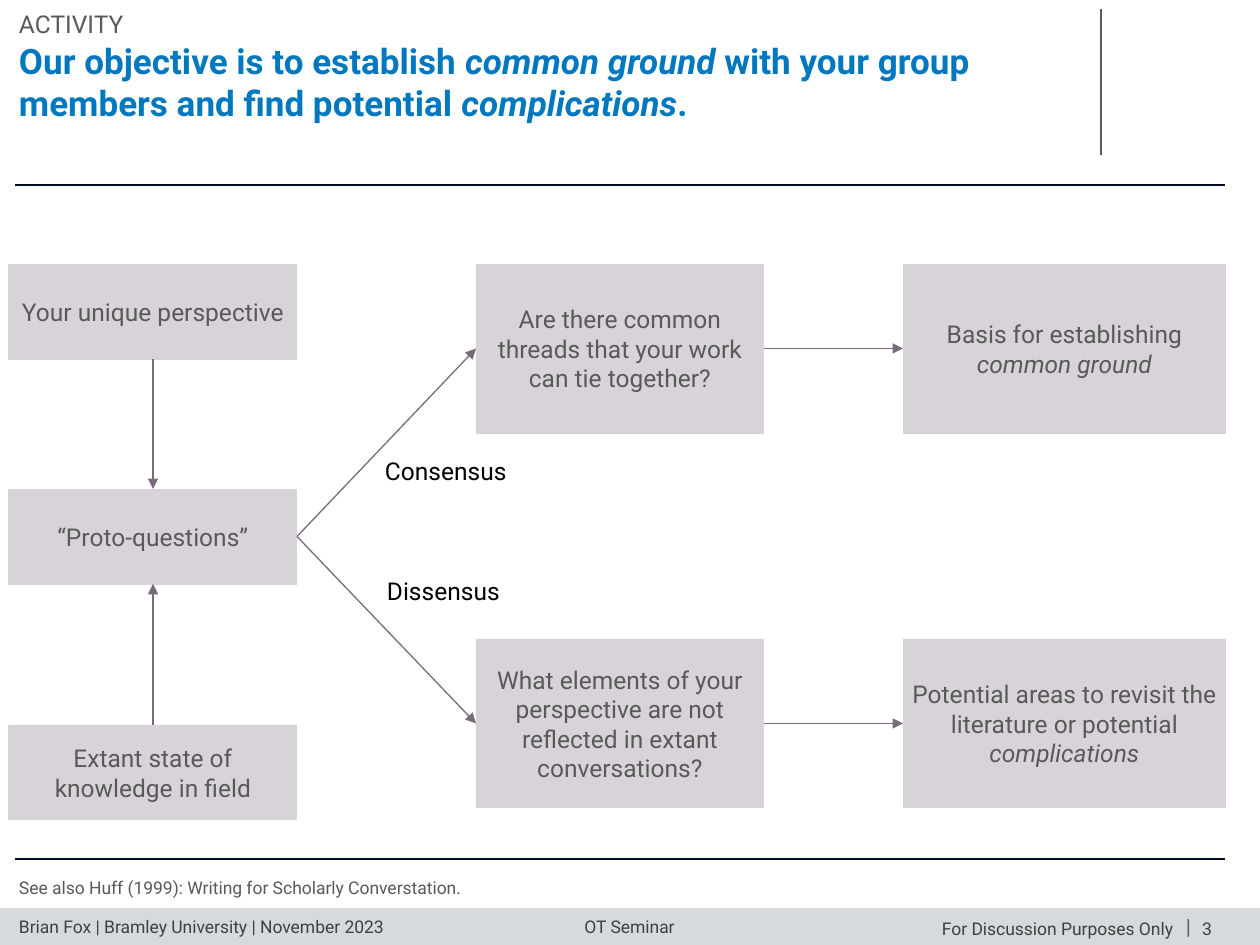
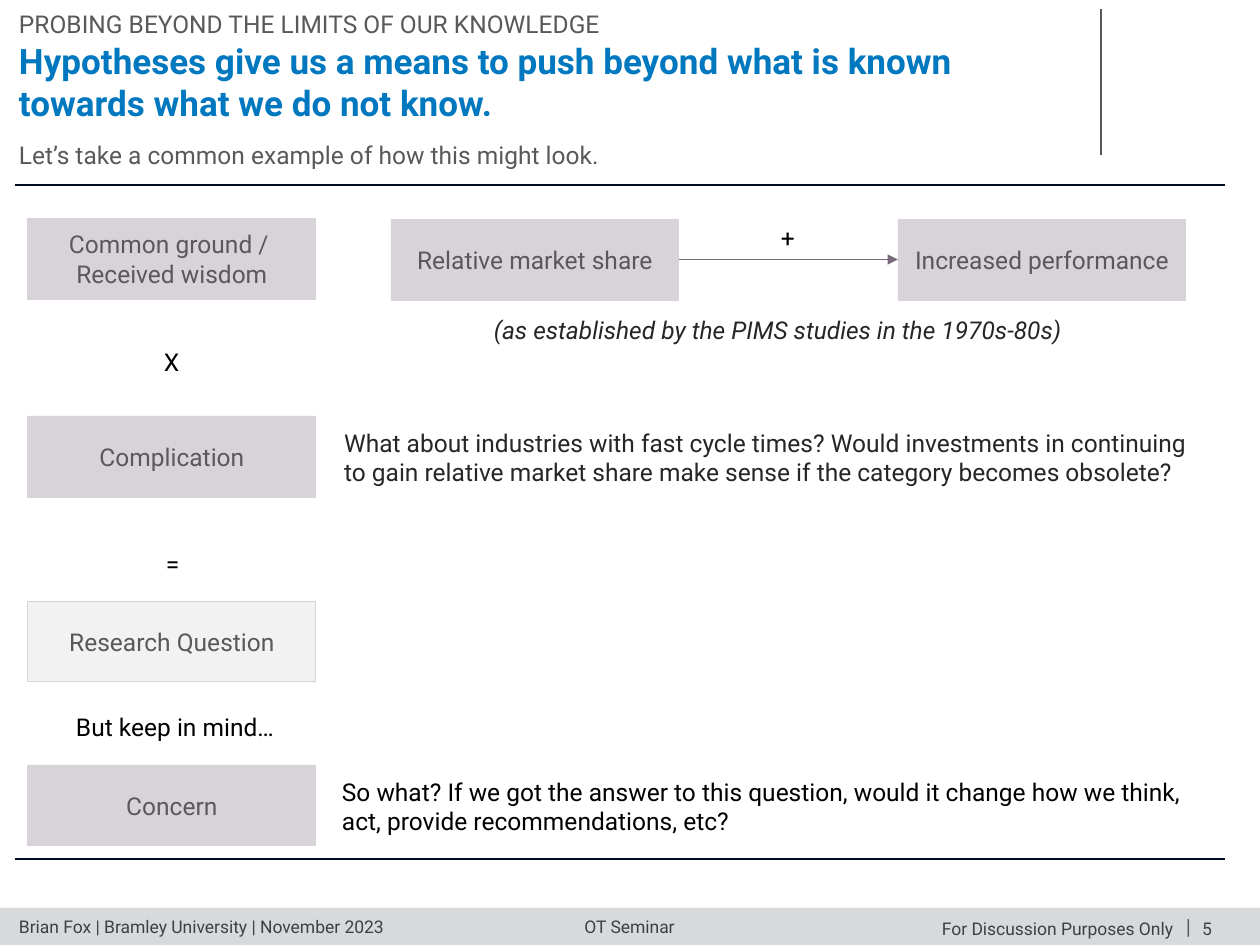
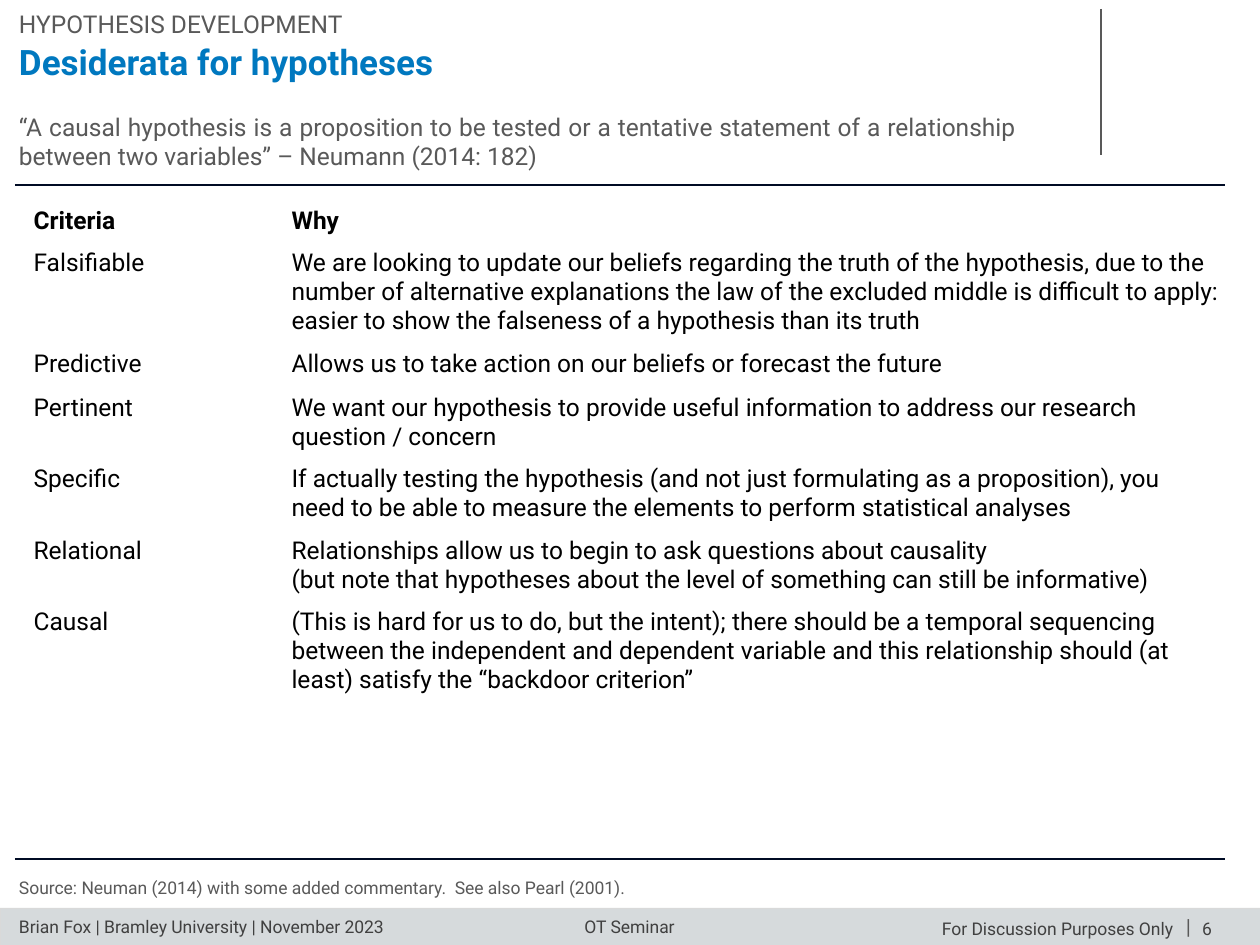
from pptx import Presentation
from pptx import util as u
from pptx.dml.color import RGBColor
from pptx.enum import shapes, text
from pptx.oxml.ns import qn
from lxml import etree

EMU_PER_PX = 914400 / 126
FONT = "Roboto"
C = {
    "title": "0078BF", "grey": "595959", "footer": "404040", "black": "000000",
    "ink": "262626", "band": "D6DADC", "band_line": "D9D9D9", "rule": "000B24",
    "box": "D8D3D9", "pale": "F2F2F2", "arrow": "78697B",
}
LEFT, CENTER, JUSTIFY = text.PP_ALIGN.LEFT, text.PP_ALIGN.CENTER, text.PP_ALIGN.JUSTIFY
TOP, MIDDLE = text.MSO_ANCHOR.TOP, text.MSO_ANCHOR.MIDDLE
SIDE_TOP, SIDE_LEFT, SIDE_BOTTOM, SIDE_RIGHT = range(4)

CRITERIA = [
    ("Criteria", "Why"),
    ("Falsifiable", "We are looking to update our beliefs regarding the truth of the hypothesis, "
     "due to the number of alternative explanations the law of the excluded middle is difficult "
     "to apply: easier to show the falseness of a hypothesis than its truth"),
    ("Predictive", "Allows us to take action on our beliefs or forecast the future"),
    ("Pertinent", "We want our hypothesis to provide useful information to address our research "
     "question / concern"),
    ("Specific", "If actually testing the hypothesis (and not just formulating as a proposition), "
     "you need to be able to measure the elements to perform statistical analyses"),
    ("Relational", "Relationships allow us to begin to ask questions about causality\n"
     "(but note that hypotheses about the level of something can still be informative)"),
    ("Causal", "(This is hard for us to do, but the intent); there should be a temporal sequencing "
     "between the independent and dependent variable and this relationship should (at least) "
     "satisfy the “backdoor criterion”"),
]
ROW_HEIGHTS = [40, 100, 44, 71, 71, 71, 100]


def px(n):
    return u.Emu(round(n * EMU_PER_PX))


def rgb(name):
    return RGBColor.from_string(C[name])


def write(tf, words, size=14, color="black", bold=False, align=LEFT):
    """Fill a text frame; *stars* mark italics and line ends start paragraphs."""
    for i, line in enumerate(words.split("\n")):
        p = tf.paragraphs[0] if i == 0 else tf.add_paragraph()
        p.alignment = align
        for j, part in enumerate(line.split("*")):
            if part:
                r = p.add_run()
                r.text = part
                r.font.name, r.font.size = FONT, u.Pt(size)
                r.font.bold, r.font.italic = bold, j % 2 == 1
                r.font.color.rgb = rgb(color)


def set_frame(tf, anchor, wrap, side=0):
    tf.margin_left = tf.margin_right = px(side)
    tf.margin_top = tf.margin_bottom = 0
    tf.vertical_anchor = anchor
    tf.word_wrap = wrap


def label(s, words, x, y, w, h, anchor=TOP, wrap=False, **style):
    tf = s.shapes.add_textbox(px(x), px(y), px(w), px(h)).text_frame
    set_frame(tf, anchor, wrap)
    tf.auto_size = text.MSO_AUTO_SIZE.SHAPE_TO_FIT_TEXT
    write(tf, words, **style)


def rect(s, x, y, w, h, fill, line, width):
    sp = s.shapes.add_shape(shapes.MSO_SHAPE.RECTANGLE, px(x), px(y), px(w), px(h))
    sp.shadow.inherit = False
    sp.fill.solid()
    sp.fill.fore_color.rgb = rgb(fill)
    sp.line.color.rgb = rgb(line)
    sp.line.width = u.Pt(width)
    return sp


def box(s, words, x, y, w, h, fill="box"):
    sp = rect(s, x, y, w, h, fill, "box", 0.5)
    set_frame(sp.text_frame, MIDDLE, True, side=5)
    write(sp.text_frame, words, color="grey", align=CENTER)
    return sp


def rule(s, x1, y1, x2, y2, color):
    c = s.shapes.add_connector(shapes.MSO_CONNECTOR.STRAIGHT, px(x1), px(y1), px(x2), px(y2))
    c.line.color.rgb = rgb(color)
    c.line.width = u.Pt(0.75)
    etree.SubElement(c._element.spPr, qn("a:effectLst"))
    return c


def arrow(s, start, end, start_side=SIDE_RIGHT, end_side=SIDE_LEFT):
    c = rule(s, 0, 0, 0, 0, "arrow")
    c.begin_connect(start, start_side)
    c.end_connect(end, end_side)
    etree.SubElement(c.line._get_or_add_ln(), qn("a:tailEnd"), type="triangle")


def criteria_table(s, x, y, widths):
    t = s.shapes.add_table(len(CRITERIA), len(widths), px(x), px(y),
                           px(sum(widths)), px(sum(ROW_HEIGHTS))).table
    t.first_row = t.horz_banding = False
    for col, w in zip(t.columns, widths):
        col.width = px(w)
    for i, (row, h) in enumerate(zip(t.rows, ROW_HEIGHTS)):
        row.height = px(h)
        for cell, words in zip(row.cells, CRITERIA[i]):
            cell.fill.background()
            write(cell.text_frame, words, bold=i == 0)


def new_slide(prs, number, topic, title, title_h=84, source=None):
    """Add a slide with heading, rules, footer band and optional source line."""
    s = prs.slides.add_slide(prs.slide_layouts[6])
    rect(s, 0, 908, 1260, 37, "band", "band_line", 0.25)
    label(s, str(number), 1202, 918, 21, 21, MIDDLE, size=10, color="footer")
    label(s, "|", 1186, 914, 5, 25, MIDDLE, size=12, color="grey")
    for words, x, y, w, align in [
        ("Brian Fox | Bramley University | November 2023", 19, 916, 370, LEFT),
        ("OT Seminar", 582, 916, 95, CENTER),
        ("For Discussion Purposes Only", 939, 918, 237, CENTER),
    ]:
        label(s, words, x, y, w, 21, size=10, color="footer", align=align)
    rule(s, 1101, 9, 1101, 155, "grey")
    for y in (185, 859):
        rule(s, 15, y, 1225, y, "rule")
    label(s, topic, 19, 9, 1067, 30, MIDDLE, True, color="grey")
    label(s, title, 19, 40, 1067, title_h, wrap=True, size=20, color="title", bold=True)
    if source:
        label(s, source, 19, 877, 998, 21, wrap=True, size=10, color="grey")
    return s


def common_ground_slide(prs):
    s = new_slide(prs, 3, "ACTIVITY",
                  "Our objective is to establish *common ground *with your group members "
                  "and find potential *complications*.",
                  source="See also Huff (1999): Writing for Scholarly Converstation.")
    perspective, proto, field = [
        box(s, words, 9, y, 288, 95) for words, y in [
            ("Your unique perspective", 264),
            ("“Proto-questions”", 489),
            ("Extant state of knowledge in field", 725),
        ]]
    arrow(s, perspective, proto, SIDE_BOTTOM, SIDE_TOP)
    arrow(s, field, proto, SIDE_TOP, SIDE_BOTTOM)
    for y, question, result in [
        (264, "Are there common threads that your work can tie together?",
         "Basis for establishing *common ground*"),
        (639, "What elements of your perspective are not reflected in extant conversations?",
         "Potential areas to revisit the literature or potential *complications*"),
    ]:
        asked = box(s, question, 476, y, 288, 169)
        outcome = box(s, result, 903, y, 323, 169)
        arrow(s, proto, asked)
        arrow(s, asked, outcome)
    label(s, "Consensus", 385, 456, 123, 30)
    label(s, "Dissensus", 387, 576, 113, 30)


def probing_slide(prs):
    s = new_slide(prs, 5, "PROBING BEYOND THE LIMITS OF OUR KNOWLEDGE",
                  "Hypotheses give us a means to push beyond what is known towards "
                  "what we do not know.")
    label(s, "Let’s take a common example of how this might look.", 19, 140, 998, 30,
          wrap=True, color="grey")
    for words, y, fill in [
        ("Common ground / \nReceived wisdom", 218, "box"),
        ("Complication", 416, "box"),
        ("Research Question", 601, "pale"),
        ("Concern", 765, "box"),
    ]:
        box(s, words, 28, y, 288, 81, fill)
    share, performance = [box(s, words, x, 219, 288, 81) for words, x in
                          [("Relative market share", 391), ("Increased performance", 898)]]
    arrow(s, share, performance)
    for words, x, y, w, h, color in [
        ("+", 781, 223, 14, 30, "black"),
        ("*(as established by the PIMS studies in the 1970s-80s)*", 494, 315, 590, 30, "ink"),
        ("X", 164, 347, 16, 30, "black"),
        ("What about industries with fast cycle times? Would investments in continuing\n"
         "to gain relative market share make sense if the category becomes obsolete?",
         344, 428, 853, 59, "ink"),
        ("=", 166, 549, 14, 30, "black"),
        ("But keep in mind…", 76, 712, 208, 30, "black"),
        ("So what? If we got the answer to this question, would it change how we think,\n"
         "act, provide recommendations, etc?", 342, 777, 844, 59, "black"),
    ]:
        label(s, words, x, y, w, h, color=color)


def desiderata_slide(prs):
    s = new_slide(prs, 6, "HYPOTHESIS DEVELOPMENT", "Desiderata for hypotheses", 42,
                  "Source: Neuman (2014) with some added commentary.  See also Pearl (2001).")
    label(s, "“A causal hypothesis is a proposition to be tested or a tentative statement of a "
          "relationship between two variables” – Neumann (2014: 182)", 19, 112, 998, 59,
          wrap=True, color="grey", align=JUSTIFY)
    criteria_table(s, 21, 200, [258, 953])


def main():
    prs = Presentation()
    prs.slide_width, prs.slide_height = px(1260), px(945)
    common_ground_slide(prs)
    probing_slide(prs)
    desiderata_slide(prs)
    prs.save("out.pptx")


if __name__ == "__main__":
    main()
